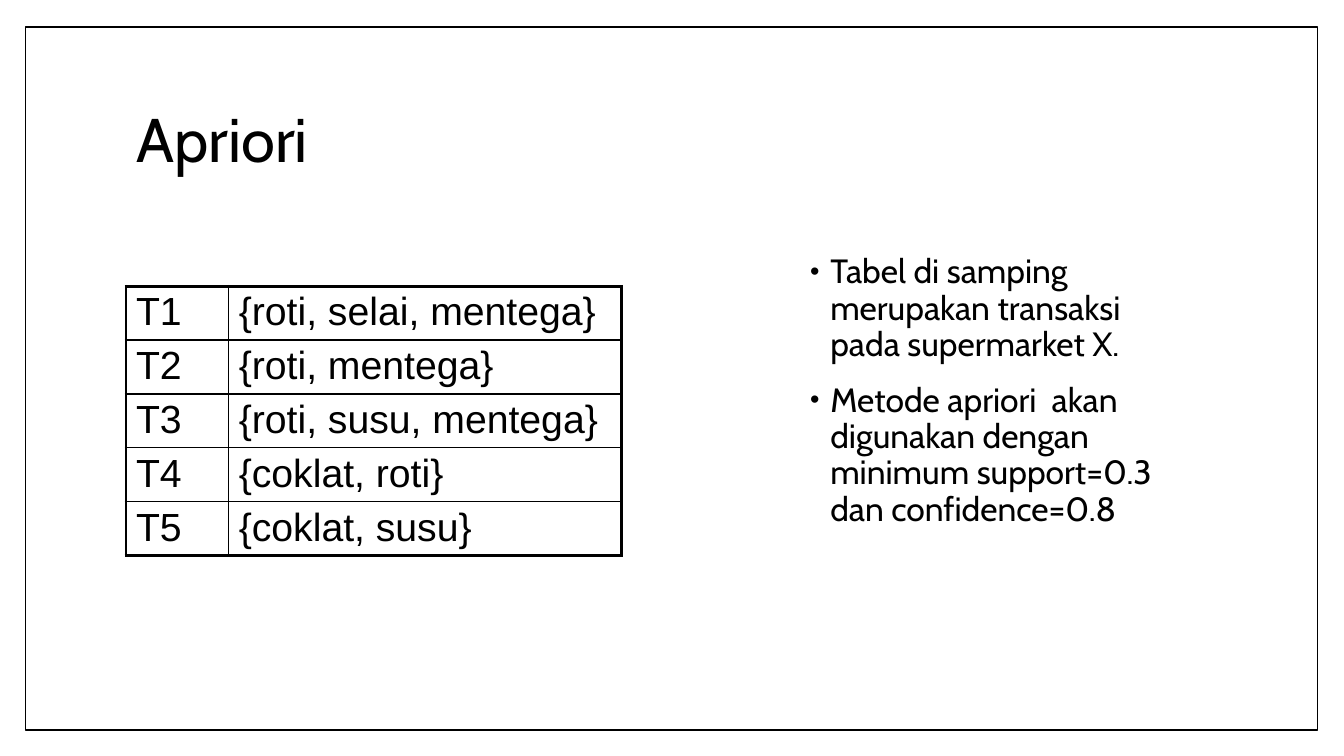
from dataclasses import dataclass

from lxml.etree import SubElement
from pptx import Presentation
from pptx.dml.color import RGBColor
from pptx.enum.shapes import MSO_SHAPE
from pptx.enum.text import MSO_ANCHOR, MSO_AUTO_SIZE, PP_ALIGN
from pptx.oxml.ns import qn
from pptx.slide import Slide
from pptx.table import _Cell
from pptx.text.text import _Paragraph
from pptx.util import Pt


@dataclass(frozen=True)
class Theme:
    ink: RGBColor = RGBColor(0, 0, 0)
    paper: RGBColor = RGBColor(255, 255, 255)
    text_font: str = "Cabin"
    table_font: str = "Arial"
    title_size: float = 44
    bullet_size: float = 24
    table_size: float = 28
    thin: float = 1
    thick: float = 2.25


@dataclass(frozen=True)
class Box:
    left: float
    top: float
    width: float
    height: float

    def place(self) -> tuple[Pt, Pt, Pt, Pt]:
        return Pt(self.left), Pt(self.top), Pt(self.width), Pt(self.height)


@dataclass(frozen=True)
class Transaction:
    code: str
    items: str


THEME = Theme()
FRAME = Box(18, 19.4, 923, 502)
TITLE = Box(90, 48.2, 777.6, 106.6)
BULLETS = Box(568, 101.5, 275.8, 356.4)
TABLE = Box(90, 204.4, 354.2, 192.5)
COLUMN_WIDTHS = (73.4, 280.8)

TRANSACTIONS = (
    Transaction("T1", "{roti, selai, mentega}"),
    Transaction("T2", "{roti, mentega}"),
    Transaction("T3", "{roti, susu, mentega}"),
    Transaction("T4", "{coklat, roti}"),
    Transaction("T5", "{coklat, susu}"),
)
NOTES = (
    "Tabel di samping merupakan transaksi pada supermarket X.",
    "Metode apriori  akan digunakan dengan minimum support=0.3 dan confidence=0.8",
)


def style_paragraph(paragraph: _Paragraph, font: str, size: float) -> None:
    paragraph.alignment = PP_ALIGN.LEFT
    paragraph.font.name = font
    paragraph.font.size = Pt(size)
    paragraph.font.color.rgb = THEME.ink


def add_frame(slide: Slide) -> None:
    frame = slide.shapes.add_shape(MSO_SHAPE.RECTANGLE, *FRAME.place())
    frame.shadow.inherit = False
    frame.fill.solid()
    frame.fill.fore_color.rgb = THEME.paper
    frame.line.color.rgb = THEME.ink
    frame.line.width = Pt(THEME.thin)
    # Send the frame behind the title
    slide.shapes._spTree.insert(2, frame._element)


def set_title(slide: Slide, text: str) -> None:
    title = slide.shapes.title
    title.left, title.top, title.width, title.height = TITLE.place()
    title.text_frame.text = text
    title.text_frame.auto_size = MSO_AUTO_SIZE.NONE
    title.text_frame.vertical_anchor = MSO_ANCHOR.MIDDLE
    paragraph = title.text_frame.paragraphs[0]
    paragraph.line_spacing = 0.9
    style_paragraph(paragraph, THEME.text_font, THEME.title_size)


def add_bullet(paragraph: _Paragraph) -> None:
    properties = paragraph._p.get_or_add_pPr()
    properties.set("marL", str(Pt(18)))
    properties.set("indent", str(Pt(-14.4)))
    color = SubElement(properties, qn("a:buClr"))
    SubElement(color, qn("a:srgbClr"), val=str(THEME.ink))
    SubElement(properties, qn("a:buSzPct"), val="80000")
    SubElement(properties, qn("a:buFont"), typeface="Arial")
    SubElement(properties, qn("a:buChar"), char="•")


def add_notes(slide: Slide) -> None:
    text_frame = slide.shapes.add_textbox(*BULLETS.place()).text_frame
    text_frame.word_wrap = True
    text_frame.vertical_anchor = MSO_ANCHOR.MIDDLE
    text_frame.text = "\n".join(NOTES)
    for paragraph in text_frame.paragraphs:
        paragraph.line_spacing = 0.9
        paragraph.space_before = Pt(14)
        add_bullet(paragraph)
        style_paragraph(paragraph, THEME.text_font, THEME.bullet_size)


def set_borders(cell: _Cell, outer_sides: dict[str, bool]) -> None:
    properties = cell._tc.get_or_add_tcPr()
    for side, is_outer in outer_sides.items():
        width = THEME.thick if is_outer else THEME.thin
        line = SubElement(properties, qn(f"a:{side}"), w=str(Pt(width)))
        fill = SubElement(line, qn("a:solidFill"))
        SubElement(fill, qn("a:srgbClr"), val=str(THEME.ink))


def add_transactions(slide: Slide) -> None:
    last_row, last_column = len(TRANSACTIONS) - 1, len(COLUMN_WIDTHS) - 1
    table = slide.shapes.add_table(last_row + 1, last_column + 1, *TABLE.place()).table
    table.first_row = table.horz_banding = False
    for column, width in zip(table.columns, COLUMN_WIDTHS):
        column.width = Pt(width)
    for row, transaction in enumerate(TRANSACTIONS):
        table.rows[row].height = Pt(TABLE.height / len(TRANSACTIONS))
        for column, text in enumerate((transaction.code, transaction.items)):
            cell = table.cell(row, column)
            cell.text = text
            cell.margin_top = cell.margin_bottom = Pt(3)
            style_paragraph(cell.text_frame.paragraphs[0], THEME.table_font, THEME.table_size)
            set_borders(cell, {
                "lnL": column == 0,
                "lnR": column == last_column,
                "lnT": row == 0,
                "lnB": row == last_row,
            })
            cell.fill.background()


# Slide
presentation = Presentation()
presentation.slide_width, presentation.slide_height = Pt(960), Pt(540)
slide = presentation.slides.add_slide(presentation.slide_layouts[5])

# Frame, title, transactions and notes
add_frame(slide)
set_title(slide, "Apriori")
add_transactions(slide)
add_notes(slide)

presentation.save("out.pptx")
